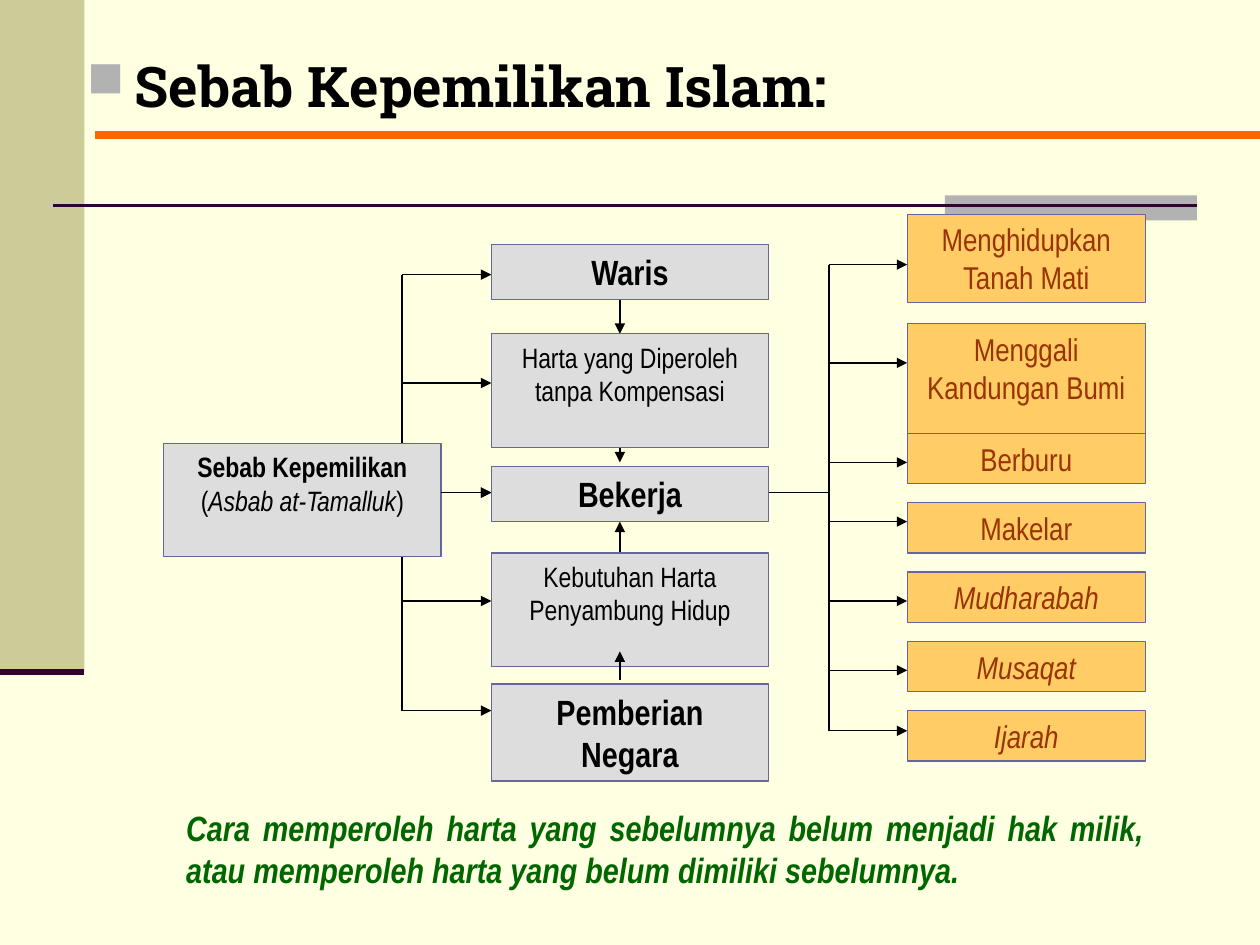
"""Build the slide on the causes of ownership in Islam."""
import dataclasses

import pptx
import pptx.dml.color
import pptx.enum.shapes
import pptx.enum.text
import pptx.oxml
import pptx.oxml.ns
import pptx.util

Inches = pptx.util.Inches
Pt = pptx.util.Pt
ALIGN = pptx.enum.text.PP_ALIGN
NS = pptx.oxml.ns.nsdecls("a")


@dataclasses.dataclass(frozen=True)
class Theme:
    paper: str = "FFFFE1"
    band: str = "CCCC99"
    tab: str = "B2B2B2"
    rule: str = "330033"
    accent: str = "FF6600"
    ink: str = "000000"
    border: str = "666699"
    cause: str = "DDDDDD"
    work: str = "FFCC66"
    work_ink: str = "993300"
    caption: str = "006600"
    title_font: str = "Roboto Slab"
    body_font: str = "Arial Narrow"
    title_size: int = 32
    large: int = 20
    medium: int = 18
    small: int = 16
    thin: float = 0.75


THEME = Theme()


def rgb(code):
    return pptx.dml.color.RGBColor.from_string(code)


def add_rect(slide, box, fill, border=None):
    rect = pptx.enum.shapes.MSO_SHAPE.RECTANGLE
    sp = slide.shapes.add_shape(rect, *map(Inches, box))
    sp.shadow.inherit = False
    sp.fill.solid()
    sp.fill.fore_color.rgb = rgb(fill)
    if border:
        sp.line.color.rgb = rgb(border)
        sp.line.width = Pt(THEME.thin)
    else:
        sp.line.fill.background()
    return sp


def add_line(slide, start, end, color=THEME.ink, width=THEME.thin, arrow=False):
    straight = pptx.enum.shapes.MSO_CONNECTOR.STRAIGHT
    line = slide.shapes.add_connector(straight, *map(Inches, (*start, *end)))
    line.line.color.rgb = rgb(color)
    line.line.width = Pt(width)
    if arrow:
        ln = line.line._get_or_add_ln()
        ln.append(pptx.oxml.parse_xml(f'<a:tailEnd {NS} type="triangle"/>'))
    line._element.spPr.append(pptx.oxml.parse_xml(f"<a:effectLst {NS}/>"))


def write(sp, runs, size, color, align=ALIGN.CENTER, font=THEME.body_font):
    """Fill a shape with one paragraph of (text, style) runs; style holds b and i."""
    tf = sp.text_frame
    tf.word_wrap = True
    tf.auto_size = pptx.enum.text.MSO_AUTO_SIZE.NONE
    tf.vertical_anchor = pptx.enum.text.MSO_ANCHOR.TOP
    p = tf.paragraphs[0]
    p.alignment = align
    for text, style in runs:
        r = p.add_run()
        r.text = text
        r.font.name = font
        r.font.size = Pt(size)
        r.font.color.rgb = rgb(color)
        r.font.bold = "b" in style
        r.font.italic = "i" in style
    return p


def add_backdrop(slide):
    slide.background.fill.solid()
    slide.background.fill.fore_color.rgb = rgb(THEME.paper)
    add_rect(slide, (0, 0, 0.67, 5.33), THEME.band)
    add_rect(slide, (7.5, 1.55, 2, 0.2), THEME.tab)
    add_line(slide, (0.42, 1.63), (9.5, 1.63), THEME.rule, 1.5)
    add_line(slide, (0, 5.33), (0.67, 5.33), THEME.rule, 3.5)
    add_line(slide, (0.75, 1.07), (10, 1.07), THEME.accent, 4.5)


def add_title(slide, text):
    title = slide.shapes.title
    title.left, title.top, title.width, title.height = map(Inches, (0.59, 0.36, 8.35, 0.79))
    p = write(title, [(text, "b")], THEME.title_size, THEME.ink, ALIGN.LEFT, THEME.title_font)
    pPr = p._p.get_or_add_pPr()
    pPr.set("marL", str(Inches(0.38)))
    pPr.set("indent", str(Inches(-0.38)))
    for xml in (
        f'<a:buClr {NS}><a:srgbClr val="{THEME.tab}"/></a:buClr>',
        f'<a:buSzPct {NS} val="90000"/>',
        f'<a:buChar {NS} char="■"/>',
    ):
        pPr.append(pptx.oxml.parse_xml(xml))


def add_branches(slide, spine, target, levels):
    """Draw a vertical spine with an arrow to the target at each level."""
    add_line(slide, (spine, levels[0]), (spine, levels[-1]))
    for y in levels:
        add_line(slide, (spine, y), (target, y), arrow=True)


def add_causes(slide):
    left, width, middle = 3.9, 2.2, 4.92
    add_branches(slide, 3.19, left, (2.18, 3.04, 3.91, 4.77, 5.64))
    for start, end in ((2.33, 2.65), (3.36, 3.67)):
        add_line(slide, (middle, start), (middle, end), arrow=True)
    root = add_rect(slide, (1.3, 3.52, width, 0.9), THEME.cause, THEME.border)
    runs = [("Sebab Kepemilikan", "b"), (" (", ""), ("Asbab at-Tamalluk", "i"), (")", "")]
    write(root, runs, THEME.small, THEME.ink)
    add_line(slide, (3.5, 3.91), (left, 3.91), arrow=True)
    for text, top, height, size, style in (
        ("Waris", 1.94, 0.44, THEME.large, "b"),
        ("Harta yang Diperoleh tanpa Kompensasi", 2.65, 0.9, THEME.small, ""),
        ("Bekerja", 3.7, 0.44, THEME.large, "b"),
        ("Kebutuhan Harta Penyambung Hidup", 4.39, 0.9, THEME.small, ""),
        ("Pemberian Negara", 5.43, 0.77, THEME.large, "b"),
    ):
        sp = add_rect(slide, (left, top, width, height), THEME.cause, THEME.border)
        write(sp, [(text, style)], size, THEME.ink)
    for start, end in ((5.4, 5.17), (4.38, 4.14)):
        add_line(slide, (middle, start), (middle, end), arrow=True)


def add_work_kinds(slide):
    left, width = 7.2, 1.89
    kinds = [("Menghidupkan Tanah Mati", 1.7, 0.7, ""), ("Menggali Kandungan Bumi", 2.57, 1, "")]
    short = (("Berburu", ""), ("Makelar", ""), ("Mudharabah", "i"), ("Musaqat", "i"), ("Ijarah", "i"))
    kinds += [(text, 3.44 + 0.55 * n, 0.4, style) for n, (text, style) in enumerate(short)]
    for text, top, height, style in kinds:
        sp = add_rect(slide, (left, top, width, height), THEME.work, THEME.border)
        write(sp, [(text, style)], THEME.medium, THEME.work_ink)
    add_line(slide, (6.1, 3.91), (6.58, 3.91))
    add_branches(slide, 6.58, left, (2.1, 2.88, 3.67, 4.14, 4.77, 5.32, 5.8))


def add_caption(slide, text):
    sp = slide.shapes.add_textbox(*map(Inches, (1.38, 6.35, 7.8, 1.1)))
    write(sp, [(text, "bi")], THEME.large, THEME.caption, ALIGN.JUSTIFY)


def main():
    prs = pptx.Presentation()
    prs.slide_width, prs.slide_height = Inches(10), Inches(7.5)
    slide = prs.slides.add_slide(prs.slide_layouts.get_by_name("Title Only"))
    add_backdrop(slide)
    add_title(slide, "Sebab Kepemilikan Islam:")
    add_causes(slide)
    add_work_kinds(slide)
    add_caption(
        slide,
        "Cara memperoleh harta yang sebelumnya belum menjadi hak milik, "
        "atau memperoleh harta yang belum dimiliki sebelumnya.",
    )
    prs.save("out.pptx")


if __name__ == "__main__":
    main()
